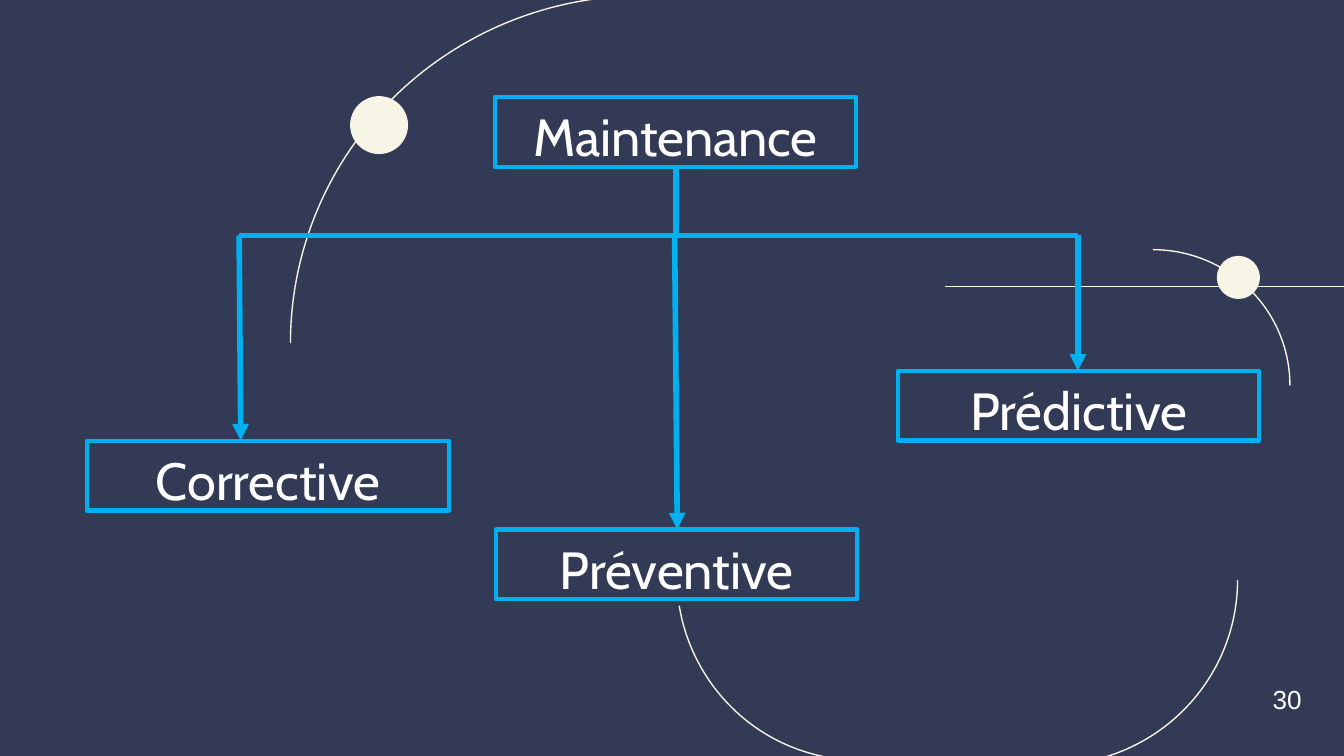
"""Build a slide with a tree of maintenance types."""
from lxml.etree import SubElement
from pptx import Presentation
from pptx.dml.color import RGBColor
from pptx.enum.shapes import MSO_CONNECTOR, MSO_SHAPE
from pptx.enum.text import MSO_ANCHOR, MSO_AUTO_SIZE, PP_ALIGN
from pptx.oxml.ns import qn
from pptx.util import Cm, Pt

NAVY = RGBColor(0x33, 0x3A, 0x56)
CREAM = RGBColor(0xF7, 0xF5, 0xE6)
BLUE = RGBColor(0x00, 0xB0, 0xF0)
WHITE = RGBColor(0xFF, 0xFF, 0xFF)

deck = Presentation()
deck.slide_width, deck.slide_height = Cm(25.4), Cm(14.29)
slide = deck.slides.add_slide(deck.slide_layouts[5])
slide.background.fill.solid()
slide.background.fill.fore_color.rgb = NAVY
shapes = slide.shapes


def outline(shape, color, width):
    shape.line.color.rgb = color
    shape.line.width = Pt(width)


def connect(start, end, color, width, arrow=False):
    points = [Cm(value) for value in (*start, *end)]
    link = shapes.add_connector(MSO_CONNECTOR.STRAIGHT, *points)
    outline(link, color, width)
    if arrow:
        SubElement(link.line._get_or_add_ln(), qn("a:tailEnd"), type="triangle")
    SubElement(link._element.spPr, qn("a:effectLst"))


arcs = [
    ((19.2, 4.72, 5.18, 5.13), 0, False, 162),
    ((5.49, -0.08, 13.31, 13.13), 0, True, 162),
    ((16.33, 7.47, 7.06, 6.99), 180, True, 162),
    ((12.75, 7.42, 6.99, 6.91), 270, True, 167.75),
]
for place, turn, flip, start in arcs:
    arc = shapes.add_shape(MSO_SHAPE.ARC, *[Cm(value) for value in place])
    arc.shadow.inherit = False
    arc.adjustments[0] = start
    arc.rotation = turn
    arc.fill.background()
    outline(arc, CREAM, 0.75)
    if flip:
        arc._element.spPr.xfrm.set("flipH", "1")

connect((25.4, 5.41), (17.86, 5.41), CREAM, 0.75)

for left, top, size in [(6.63, 1.83, 1.07), (23.01, 4.85, 0.79)]:
    dot = shapes.add_shape(MSO_SHAPE.OVAL, Cm(left), Cm(top), Cm(size), Cm(size))
    dot.shadow.inherit = False
    dot.fill.solid()
    dot.fill.fore_color.rgb = CREAM
    outline(dot, CREAM, 0.75)

frame_style = {
    "word_wrap": True,
    "auto_size": MSO_AUTO_SIZE.NONE,
    "vertical_anchor": MSO_ANCHOR.MIDDLE,
    "margin_left": Cm(0.25),
    "margin_right": Cm(0.25),
    "margin_top": Cm(0.15),
    "margin_bottom": Cm(0),
}
font_style = {"name": "Cabin", "size": Pt(28)}
boxes = [
    ("Maintenance", 9.35, 1.83),
    ("Corrective", 1.65, 8.33),
    ("Préventive", 9.37, 10.01),
    ("Prédictive", 16.97, 7.01),
]
for label, left, top in boxes:
    place = Cm(left), Cm(top), Cm(6.83), Cm(1.32)
    if label == "Maintenance":
        box = shapes.title
        box.left, box.top, box.width, box.height = place
    else:
        box = shapes.add_textbox(*place)
    outline(box, BLUE, 2.25)
    frame = box.text_frame
    for name, value in frame_style.items():
        setattr(frame, name, value)
    frame.text = label
    line = frame.paragraphs[0]
    line.alignment = PP_ALIGN.CENTER
    for name, value in font_style.items():
        setattr(line.font, name, value)
    line.font.color.rgb = WHITE

connect((12.78, 3.12), (12.78, 4.45), BLUE, 3)
connect((4.52, 4.45), (20.37, 4.45), BLUE, 2.25)
for start, end in [
    ((4.52, 4.45), (4.55, 8.33)),
    ((12.75, 4.45), (12.8, 10.01)),
    ((20.37, 4.45), (20.37, 7.01)),
]:
    connect(start, end, BLUE, 3, arrow=True)

number = shapes.add_textbox(Cm(23.8), Cm(12.8), Cm(1.14), Cm(0.86))
number.text_frame.word_wrap = True
number.text_frame.auto_size = MSO_AUTO_SIZE.SHAPE_TO_FIT_TEXT
number.text_frame.text = "30"
font = number.text_frame.paragraphs[0].font
for name, value in {"name": "Arial", "size": Pt(14)}.items():
    setattr(font, name, value)
font.color.rgb = WHITE

deck.save("out.pptx")
